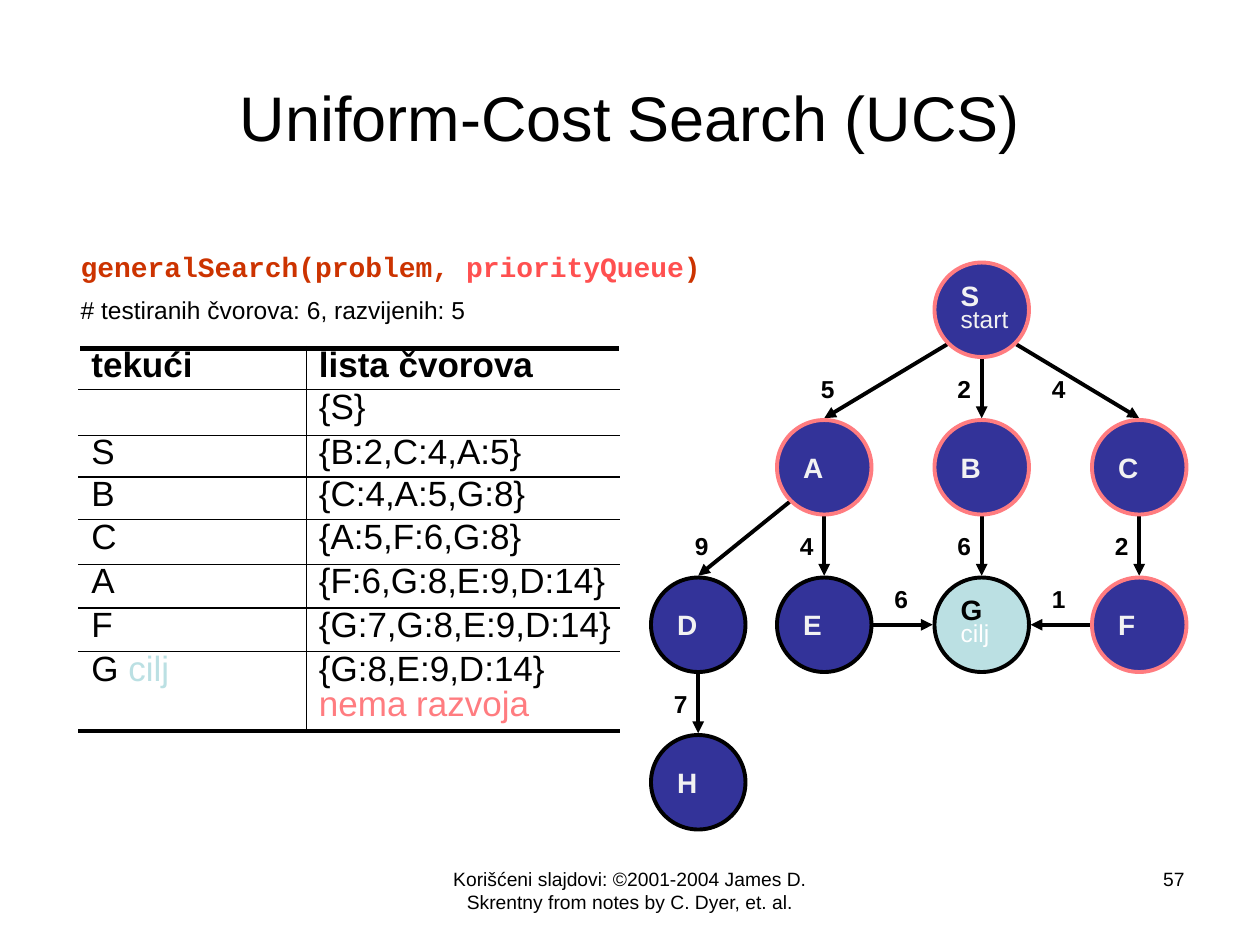
from lxml import etree
from pptx import Presentation
from pptx.dml.color import RGBColor
from pptx.enum.shapes import MSO_CONNECTOR, MSO_SHAPE
from pptx.enum.text import MSO_ANCHOR, MSO_AUTO_SIZE, PP_ALIGN
from pptx.oxml.ns import qn
from pptx.util import Pt

STRAIGHT = MSO_CONNECTOR.STRAIGHT
OVAL = MSO_SHAPE.OVAL
MIDDLE = MSO_ANCHOR.MIDDLE
FIT_SHAPE = MSO_AUTO_SIZE.SHAPE_TO_FIT_TEXT
NO_FIT = MSO_AUTO_SIZE.NONE
LEFT, CENTER, RIGHT = PP_ALIGN.LEFT, PP_ALIGN.CENTER, PP_ALIGN.RIGHT

BLACK, WHITE, PALE = "000000", "FFFFFF", "F2F2F2"
INDIGO, AQUA, PINK = "333399", "BBE0E3", "FF7C80"
RUST, RED = "CC3300", "FF5050"

RADIUS = 27
REACH = 28
DIAGONAL = 19.8
COLUMNS = (399, 471, 561, 651)
LEVELS = (177, 267, 357, 447)

# name: (column, level, outline)
NODES = {
    "S": (2, 0, PINK),
    "A": (1, 1, PINK),
    "B": (2, 1, PINK),
    "C": (3, 1, PINK),
    "D": (0, 2, BLACK),
    "E": (1, 2, BLACK),
    "G": (2, 2, BLACK),
    "F": (3, 2, PINK),
    "H": (0, 3, BLACK),
}
# start, end, cost, left and top of the cost
EDGES = (
    ("S", "A", "5", 462, 210),
    ("S", "B", "2", 540, 210),
    ("S", "C", "4", 594, 210),
    ("A", "D", "9", 390, 300),
    ("A", "E", "4", 450, 300),
    ("B", "G", "6", 540, 300),
    ("C", "F", "2", 630, 300),
    ("E", "G", "6", 504, 330),
    ("F", "G", "1", 594, 330),
    ("D", "H", "7", 378, 390),
)
ROWS = (
    ("tekući", "lista čvorova"),
    ("", "{S}"),
    ("S", "{B:2,C:4,A:5}"),
    ("B", "{C:4,A:5,G:8}"),
    ("C", "{A:5,F:6,G:8}"),
    ("A", "{F:6,G:8,E:9,D:14}"),
    ("F", "{G:7,G:8,E:9,D:14}"),
    ("G ", "{G:8,E:9,D:14}"),
)
ROW_HEIGHTS = (22, 24.5, 23, 24.5, 25.5, 25, 25, 42.5)
COLUMN_WIDTHS = (130, 179)


def color(value):
    """Return the colour for a hex string."""
    return RGBColor.from_string(value)


def style(font, size, tint=BLACK, bold=False, name="Arial"):
    """Set size, colour, weight and typeface of a font."""
    font.size, font.bold, font.name = Pt(size), bold, name
    font.color.rgb = color(tint)


def add_span(para, text, tint=None):
    """Add a run to a paragraph, with its own colour if given."""
    span = para.add_run()
    span.text = text
    if tint:
        span.font.color.rgb = color(tint)
    return span


def add_text(page, text, left, top, width, height, size, align=LEFT, wrap=False, **look):
    """Add a one-paragraph text box and return the paragraph."""
    box = page.shapes.add_textbox(Pt(left), Pt(top), Pt(width), Pt(height))
    frame = box.text_frame
    frame.word_wrap = wrap
    frame.auto_size = NO_FIT if wrap else FIT_SHAPE
    para = frame.paragraphs[0]
    para.alignment = align
    style(para.font, size, **look)
    add_span(para, text)
    return para


def add_title(page, text):
    """Place and format the title placeholder."""
    title = page.shapes.title
    title.left, title.top, title.width, title.height = Pt(36), Pt(21.6), Pt(648), Pt(90)
    title.text_frame.text = text
    title.text_frame.vertical_anchor = MIDDLE
    para = title.text_frame.paragraphs[0]
    para.alignment = CENTER
    style(para.font, 36)


def center_of(name):
    """Return the centre of a node."""
    column, level, _ = NODES[name]
    return COLUMNS[column], LEVELS[level]


def add_node(page, name):
    """Draw a node of the search graph with its label."""
    x, y = center_of(name)
    node = page.shapes.add_shape(OVAL, Pt(x - RADIUS), Pt(y - RADIUS), Pt(2 * RADIUS), Pt(2 * RADIUS))
    node.shadow.inherit = False
    node.fill.solid()
    node.fill.fore_color.rgb = color(AQUA if name == "G" else INDIGO)
    node.line.color.rgb = color(NODES[name][2])
    node.line.width = Pt(2.25)
    frame = node.text_frame
    frame.word_wrap = False
    frame.vertical_anchor = MIDDLE
    para = frame.paragraphs[0]
    para.alignment = LEFT
    style(para.font, 16, BLACK if name == "G" else PALE, True)
    add_span(para, name)
    if name == "S":
        para.line_spacing = 0.75
        para.add_line_break()
        style(add_span(para, "start").font, 14, PALE)
    elif name == "G":
        para.line_spacing = 0.65
        goal = frame.add_paragraph()
        goal.alignment = LEFT
        goal.line_spacing = 0.75
        style(goal.font, 14, WHITE)
        add_span(goal, "cilj")


def add_edge(page, start, end):
    """Draw an arrow from one node to another."""
    (x1, y1), (x2, y2) = center_of(start), center_of(end)
    side = (x2 > x1) - (x2 < x1)
    if y1 == y2:
        x1, x2 = x1 + side * REACH, x2 - side * REACH
    else:
        x1, y1 = x1 + side * DIAGONAL, y1 + (DIAGONAL if side else REACH)
        y2 -= REACH
    edge = page.shapes.add_connector(STRAIGHT, Pt(x1), Pt(y1), Pt(x2), Pt(y2))
    edge.line.color.rgb = color(BLACK)
    edge.line.width = Pt(2.25)
    etree.SubElement(edge.line._get_or_add_ln(), qn("a:tailEnd"), type="triangle")
    etree.SubElement(edge._element.spPr, qn("a:effectLst"))


def add_border(cell, side, width):
    """Add a black border to one side of a cell."""
    border = etree.SubElement(cell._tc.get_or_add_tcPr(), qn("a:" + side), w=str(Pt(width)))
    fill = etree.SubElement(border, qn("a:solidFill"))
    etree.SubElement(fill, qn("a:srgbClr"), val=BLACK)


def add_queue_table(page):
    """Draw the table of current nodes and node lists."""
    table = page.shapes.add_table(
        len(ROWS), 2, Pt(45), Pt(199), Pt(sum(COLUMN_WIDTHS)), Pt(sum(ROW_HEIGHTS))
    ).table
    table.first_row = table.horz_banding = False
    for column, width in zip(table.columns, COLUMN_WIDTHS):
        column.width = Pt(width)
    last = len(ROWS) - 1
    for i, texts in enumerate(ROWS):
        table.rows[i].height = Pt(ROW_HEIGHTS[i])
        for j, text in enumerate(texts):
            cell = table.cell(i, j)
            cell.margin_left, cell.margin_top = Pt(7.2), Pt(0.7)
            cell.margin_right = cell.margin_bottom = Pt(1.4)
            add_border(cell, "lnR" if j == 0 else "lnL", 1)
            add_border(cell, "lnT", 3 if i == 0 else 1)
            add_border(cell, "lnB", 3 if i == last else 1)
            cell.fill.background()
            para = cell.text_frame.paragraphs[0]
            para.line_spacing = 0.9
            style(para.font, 20, bold=i == 0)
            if text:
                add_span(para, text)
    add_span(table.cell(last, 0).text_frame.paragraphs[0], "cilj", AQUA)
    para = table.cell(last, 1).text_frame.paragraphs[0]
    para.add_line_break()
    add_span(para, "nema razvoja", PINK)


def main():
    """Build the slide and save it."""
    deck = Presentation()
    deck.slide_width, deck.slide_height = Pt(720), Pt(540)
    page = deck.slides.add_slide(deck.slide_layouts[5])
    add_title(page, "Uniform-Cost Search (UCS)")
    call = add_text(page, "generalSearch(problem, ", 39, 139, 374, 26.5, 16,
                    tint=RUST, bold=True, name="Courier New")
    add_span(call, "priorityQueue", RED)
    add_span(call, ")")
    add_text(page, "# testiranih čvorova: 6, razvijenih: 5", 39, 165, 235.5, 24.5, 14)
    add_queue_table(page)
    for start, end, cost, left, top in EDGES:
        add_text(page, cost, left, top, 22, 24.5, 14, bold=True)
        add_edge(page, start, end)
    for name in NODES:
        add_node(page, name)
    add_text(page, "Korišćeni slajdovi: ©2001-2004 James D. Skrentny from notes by C. Dyer, et. al.",
             246, 492, 228, 37.5, 11, CENTER, True)
    add_text(page, "57", 516, 492, 168, 37.5, 11, RIGHT, True)
    deck.save("out.pptx")


if __name__ == "__main__":
    main()
